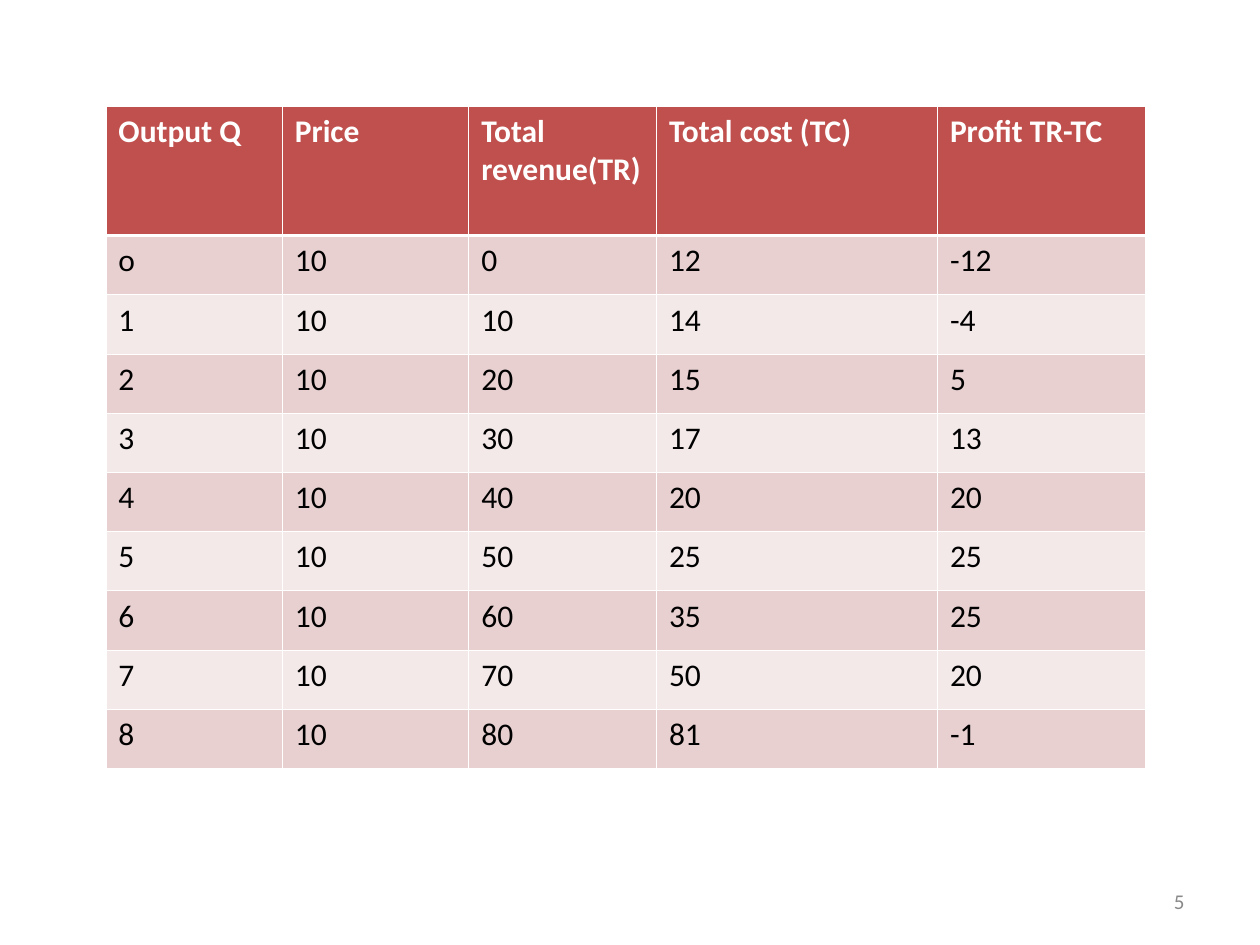
from dataclasses import dataclass

from lxml import etree
from pptx import Presentation
from pptx.dml.color import RGBColor
from pptx.enum import text
from pptx.oxml import ns
from pptx.util import Inches, Pt

FONT = "Calibri"
WHITE, BLACK, GREY = "FFFFFF", "000000", "898989"
HEADER_RED, DARK_BAND, LIGHT_BAND = "C0504D", "E8D0D0", "F4E9E9"
THIN, THICK = 0.45, 1.47

HEADINGS = ["Output Q", "Price", "Total revenue(TR)", "Total cost (TC)", "Profit TR-TC"]
COLUMN_WIDTHS = [1.4, 1.48, 1.49, 2.23, 1.65]
HEADER_HEIGHT, BODY_HEIGHT = 1.03, 0.47
PRICE = 10
TOTAL_COSTS = [12, 14, 15, 17, 20, 25, 35, 50, 81]


@dataclass
class RowStyle:
    fill: str
    color: str = BLACK
    bold: bool = False
    top: float = THIN
    bottom: float = THIN


def rgb(value: str) -> RGBColor:
    return RGBColor.from_string(value)


def set_font(paragraph, size: float, color: str, bold: bool = False) -> None:
    font = paragraph.font
    font.name, font.size, font.bold = FONT, Pt(size), bold
    font.color.rgb = rgb(color)


def set_borders(cell, style: RowStyle) -> None:
    """Draw white borders; border elements must precede the cell's fill."""
    properties = cell._tc.get_or_add_tcPr()
    widths = {"a:lnL": THIN, "a:lnR": THIN, "a:lnT": style.top, "a:lnB": style.bottom}
    for position, (tag, width) in enumerate(widths.items()):
        line = etree.Element(ns.qn(tag), w=str(Pt(width)))
        fill = etree.SubElement(line, ns.qn("a:solidFill"))
        etree.SubElement(fill, ns.qn("a:srgbClr"), val=WHITE)
        properties.insert(position, line)


def fill_row(cells, values: list[str], style: RowStyle) -> None:
    for cell, value in zip(cells, values):
        cell.text = value
        set_font(cell.text_frame.paragraphs[0], 18, style.color, style.bold)
        cell.fill.solid()
        cell.fill.fore_color.rgb = rgb(style.fill)
        set_borders(cell, style)


def profit_rows() -> list[list[str]]:
    rows = []
    for output, cost in enumerate(TOTAL_COSTS):
        revenue = output * PRICE
        label = str(output) if output else "o"
        rows.append([label, str(PRICE), str(revenue), str(cost), str(revenue - cost)])
    return rows


def add_profit_table(slide) -> None:
    rows = profit_rows()
    height = HEADER_HEIGHT + BODY_HEIGHT * len(rows)
    table = slide.shapes.add_table(
        len(rows) + 1, len(HEADINGS), Inches(0.84), Inches(0.84),
        Inches(sum(COLUMN_WIDTHS)), Inches(height)).table
    for column, width in zip(table.columns, COLUMN_WIDTHS):
        column.width = Inches(width)
    for index, row in enumerate(table.rows):
        row.height = Inches(BODY_HEIGHT if index else HEADER_HEIGHT)

    # Header, then alternating bands
    fill_row(table.rows[0].cells, HEADINGS,
             RowStyle(HEADER_RED, WHITE, bold=True, bottom=THICK))
    for index, values in enumerate(rows):
        style = RowStyle(LIGHT_BAND if index % 2 else DARK_BAND,
                         top=THIN if index else THICK)
        fill_row(table.rows[index + 1].cells, values, style)


def add_page_number(slide, number: str) -> None:
    frame = slide.shapes.add_textbox(
        Inches(7.17), Inches(6.95), Inches(2.33), Inches(0.4)).text_frame
    frame.word_wrap = True
    frame.vertical_anchor = text.MSO_ANCHOR.MIDDLE
    frame.text = number
    paragraph = frame.paragraphs[0]
    paragraph.alignment = text.PP_ALIGN.RIGHT
    set_font(paragraph, 12, GREY)


def main() -> None:
    deck = Presentation()
    deck.slide_width, deck.slide_height = Inches(10), Inches(7.5)
    slide = deck.slides.add_slide(deck.slide_layouts[6])
    add_profit_table(slide)
    add_page_number(slide, "5")
    deck.save("out.pptx")


if __name__ == "__main__":
    main()
